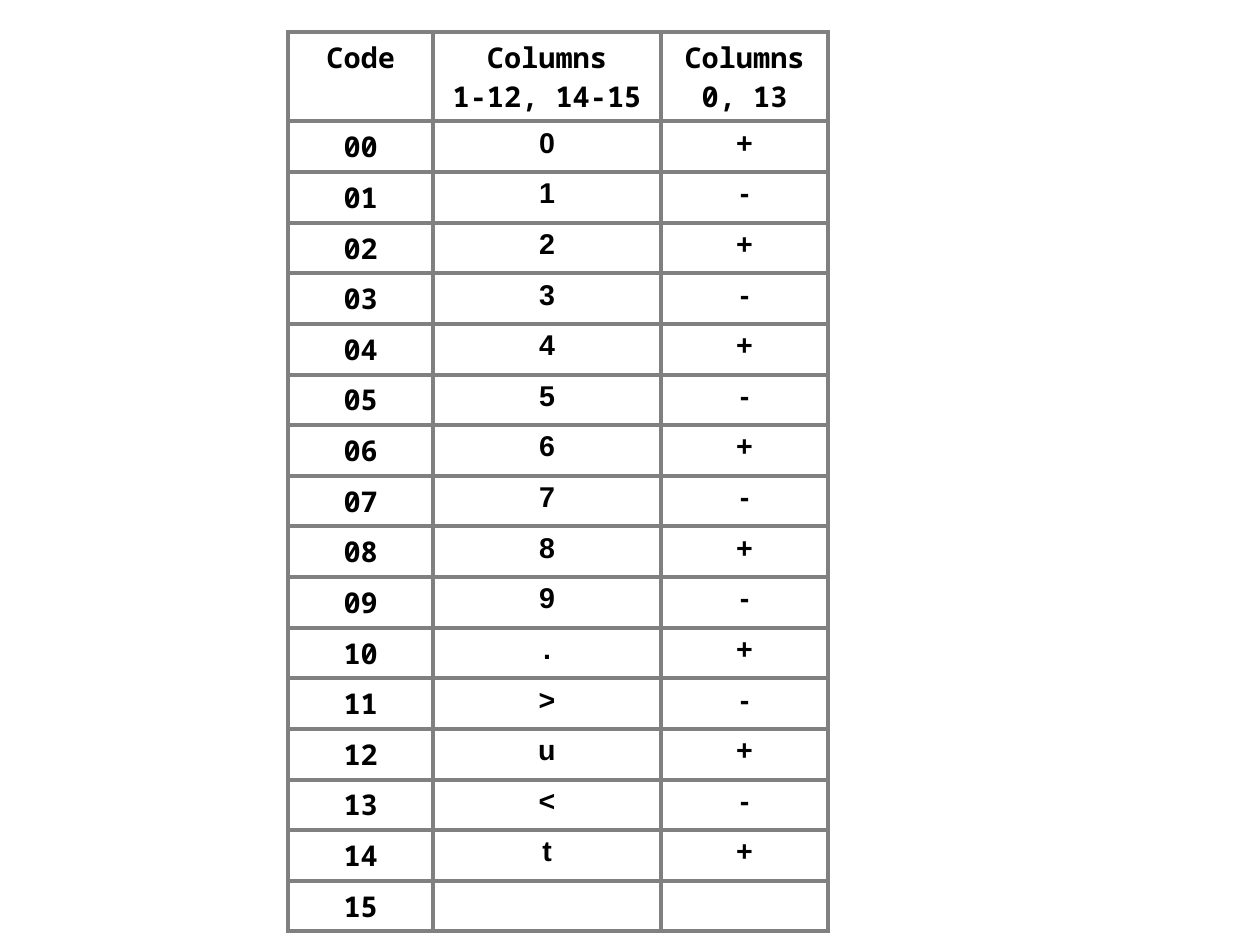
"""Build a slide with the table of character codes by column."""
from lxml import etree
from pptx import Presentation
from pptx.dml.color import RGBColor
from pptx.enum.text import PP_ALIGN
from pptx.oxml.ns import qn
from pptx.util import Cm, Pt

CENTER = PP_ALIGN.CENTER
BLACK = RGBColor(0x00, 0x00, 0x00)
WHITE = RGBColor(0xFF, 0xFF, 0xFF)
GRAY = RGBColor(0x80, 0x80, 0x80)
CODE_FONT = "Noto Sans Mono"
SYMBOL_FONT = "Arial"
BLANK_LAYOUT = 6

HEADERS = ("Code", "Columns\n1-12, 14-15", "Columns\n0, 13")
SYMBOLS = "0123456789.>u<t"
SIGNS = "+-"
CODE_COUNT = 16
COLUMN_WIDTHS = (Cm(3.23), Cm(5.05), Cm(3.73))
HEADER_HEIGHT = Cm(1.78)
ROW_HEIGHT = Cm(1.04)


def code_rows():
    """Return the code, symbol and sign of every row, leaving the last code unassigned."""
    rows = [(f"{code:02}", symbol, SIGNS[code % 2]) for code, symbol in enumerate(SYMBOLS)]
    return rows + [(str(CODE_COUNT - 1), "", "")]


def set_borders(cell):
    """Draw the same gray line on all four sides of a cell."""
    properties = cell._tc.get_or_add_tcPr()
    for side in ("a:lnL", "a:lnR", "a:lnT", "a:lnB"):
        line = etree.SubElement(properties, qn(side), w=str(Pt(2.83)))
        fill = etree.SubElement(line, qn("a:solidFill"))
        etree.SubElement(fill, qn("a:srgbClr"), val=str(GRAY))


def format_cell(cell, text, font_name):
    """Fill a cell with bold centred text, borders and a white background."""
    set_borders(cell)
    cell.fill.solid()
    cell.fill.fore_color.rgb = WHITE
    cell.margin_left = cell.margin_right = Cm(0.1)
    cell.margin_top = cell.margin_bottom = Cm(0.13)
    cell.text_frame.text = text
    for paragraph in cell.text_frame.paragraphs:
        paragraph.alignment = CENTER
        for run in paragraph.runs:
            run.font.name = font_name
            run.font.size = Pt(18)
            run.font.bold = True
            run.font.color.rgb = BLACK


def add_code_table(slide):
    """Add the table with a header row and one row for each code."""
    rows = [HEADERS] + code_rows()
    height = HEADER_HEIGHT + CODE_COUNT * ROW_HEIGHT
    table = slide.shapes.add_table(
        len(rows), len(HEADERS), Cm(6.4), Cm(0.71), sum(COLUMN_WIDTHS), height
    ).table
    table.horz_banding = False
    for column, width in zip(table.columns, COLUMN_WIDTHS):
        column.width = width
    for row_index, texts in enumerate(rows):
        table.rows[row_index].height = ROW_HEIGHT if row_index else HEADER_HEIGHT
        for column_index, text in enumerate(texts):
            is_symbol = row_index > 0 and column_index > 0
            font_name = SYMBOL_FONT if is_symbol else CODE_FONT
            format_cell(table.cell(row_index, column_index), text, font_name)


def main():
    """Create the presentation and save it."""
    presentation = Presentation()
    presentation.slide_width = Cm(28)
    presentation.slide_height = Cm(21)
    slide = presentation.slides.add_slide(presentation.slide_layouts[BLANK_LAYOUT])
    add_code_table(slide)
    presentation.save("out.pptx")


if __name__ == "__main__":
    main()
